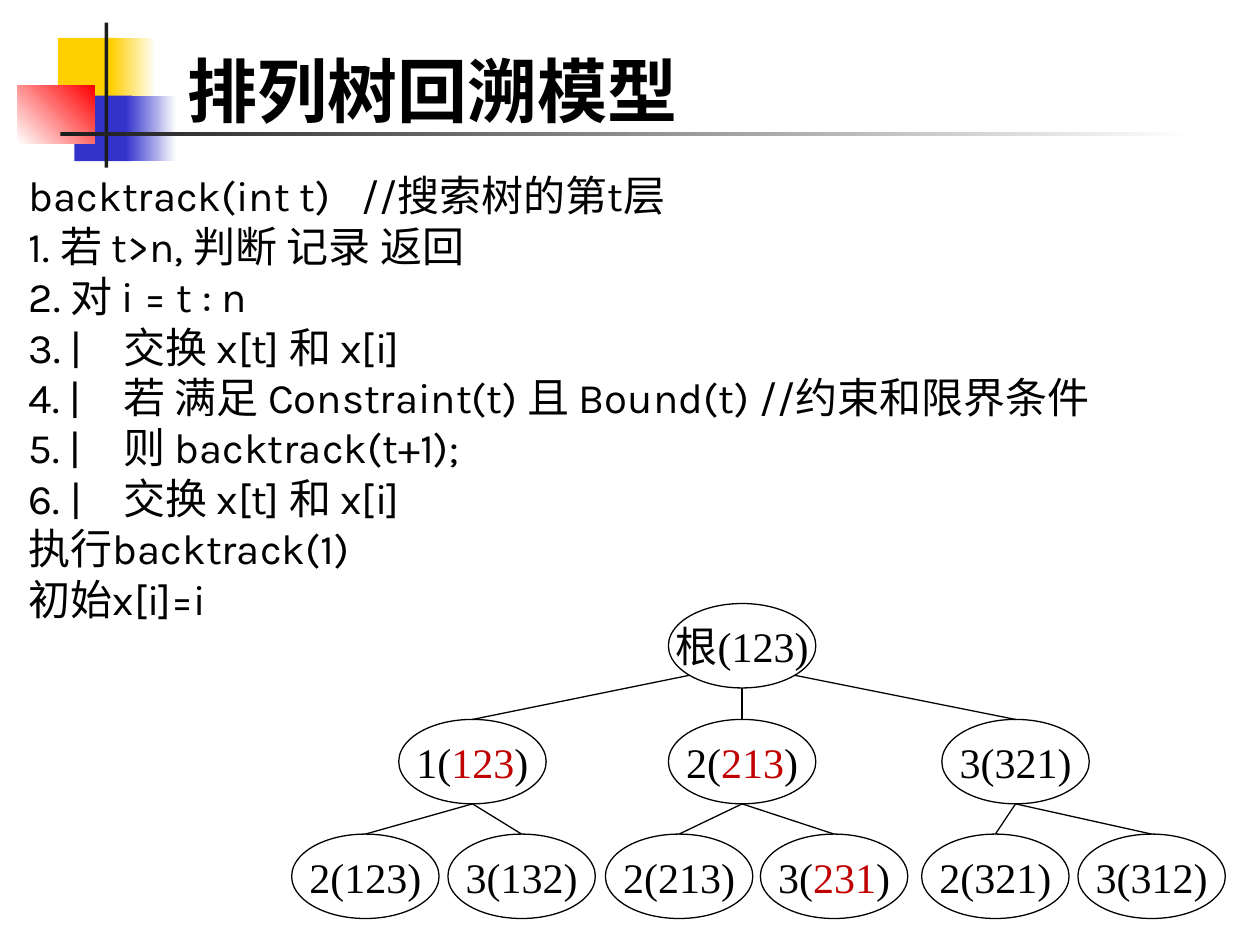
from pptx import Presentation
from pptx import util as u
from pptx.dml.color import RGBColor
from pptx.enum import shapes, text
from pptx.oxml.ns import qn
from lxml import etree

In = u.Inches
BLACK, RED = "000000", "C00000"


def color(code):
    return RGBColor.from_string(code)


def write(par, words, size=24, font="Times New Roman", ink=BLACK, bold=False):
    run = par.add_run()
    run.text = words
    run.font.size = u.Pt(size)
    run.font.name = font
    run.font.bold = bold
    run.font.color.rgb = color(ink)


deck = Presentation()
deck.slide_width, deck.slide_height = In(10), In(7.5)
slide = deck.slides.add_slide(deck.slide_layouts[6])
items = slide.shapes

# Corner blocks and rules: left, top, width, height, colours, angle
blocks = [
    (0.46, 0.3, 0.48, 0.52, ["FFCF01"], 0),
    (0.88, 0.3, 0.36, 0.52, ["FFCF01", "FFFFFF"], 0),
    (0.59, 0.76, 0.46, 0.52, ["3333CC"], 0),
    (1, 0.76, 0.4, 0.52, ["3333CC", "FFFFFF"], 0),
    (0.14, 0.68, 0.61, 0.46, ["FFFFFF", "FF0000"], 45),
    (0.83, 0.18, 0.03, 1.15, ["1C1C1C"], 0),
    (0.48, 1.05, 9, 0.03, ["1C1C1C", "FFFFFF"], 0),
]
for x, y, w, h, tones, angle in blocks:
    block = items.add_shape(shapes.MSO_SHAPE.RECTANGLE, In(x), In(y), In(w), In(h))
    block.shadow.inherit = False
    block.line.fill.background()
    if len(tones) == 1:
        block.fill.solid()
        block.fill.fore_color.rgb = color(tones[0])
    else:
        block.fill.gradient()
        block.fill.gradient_angle = angle
        for stop, tone in zip(block.fill.gradient_stops, tones):
            stop.color.rgb = color(tone)

# Title
title = items.add_textbox(In(1.39), In(0.17), In(8.52), In(0.92)).text_frame
title.word_wrap = True
title.vertical_anchor = text.MSO_ANCHOR.BOTTOM
write(title.paragraphs[0], "排列树回溯模型", size=40, bold=True)

# Pseudocode: each line with the tab stop it uses
code = [
    ("backtrack(int t)\t//搜索树的第t层", 2.64),
    ("1. 若 t>n, 判断 记录 返回", None),
    ("2. 对 i = t : n", None),
    ("3. |\t交换 x[t] 和 x[i]", 0.75),
    ("4. |\t若 满足 Constraint(t) 且 Bound(t) //约束和限界条件", 0.75),
    ("5. |\t则 backtrack(t+1);", 0.75),
    ("6. |\t交换 x[t] 和 x[i]", 0.75),
    ("执行backtrack(1)", None),
    ("初始x[i]=i", None),
]
body = items.add_textbox(In(0.13), In(1.3), In(9.84), In(4.34)).text_frame
body.word_wrap = False
for i, (words, stop) in enumerate(code):
    par = body.add_paragraph() if i else body.paragraphs[0]
    if stop:
        tabs = etree.SubElement(par._p.get_or_add_pPr(), qn("a:tabLst"))
        etree.SubElement(tabs, qn("a:tab"), pos=str(In(stop)), algn="l")
    write(par, words, font="Karla")

# Permutation tree: centre x, top, label parts (the middle part is red), parent
W, H = 1.17, 0.67
ROWS = [4.79, 5.71, 6.62]
nodes = [
    (5.89, 0, ["根(123)"], None),
    (3.75, 1, ["1(", "123", ")"], 0),
    (5.89, 1, ["2(", "213", ")"], 0),
    (8.06, 1, ["3(321)"], 0),
    (2.9, 2, ["2(123)"], 1),
    (4.14, 2, ["3(132)"], 1),
    (5.39, 2, ["2(213)"], 2),
    (6.62, 2, ["3(", "231", ")"], 2),
    (7.9, 2, ["2(321)"], 3),
    (9.14, 2, ["3(312)"], 3),
]
for mid, row, parts, up in nodes:
    top = ROWS[row]
    if up is not None:
        px, prow = nodes[up][:2]
        py = ROWS[prow] + H
        if up == 0 and mid != px:  # side branches leave the root off-centre
            px += 0.42 if mid > px else -0.42
            py -= 0.1
        edge = items.add_connector(
            shapes.MSO_CONNECTOR.STRAIGHT, In(px), In(py), In(mid), In(top))
        edge.line.color.rgb = color(BLACK)
        edge.line.width = u.Pt(0.75)
        etree.SubElement(edge._element.spPr, qn("a:effectLst"))

    node = items.add_shape(
        shapes.MSO_SHAPE.OVAL, In(mid - W / 2), In(top), In(W), In(H))
    node.shadow.inherit = False
    node.fill.background()
    node.line.color.rgb = color(BLACK)
    node.line.width = u.Pt(0.75)
    frame = node.text_frame
    frame.word_wrap = False
    frame.vertical_anchor = text.MSO_ANCHOR.MIDDLE
    frame.margin_left = frame.margin_right = 0
    frame.margin_top = frame.margin_bottom = 0
    par = frame.paragraphs[0]
    par.alignment = text.PP_ALIGN.CENTER
    for i, part in enumerate(parts):
        write(par, part, ink=RED if i == 1 else BLACK)

deck.save("out.pptx")
